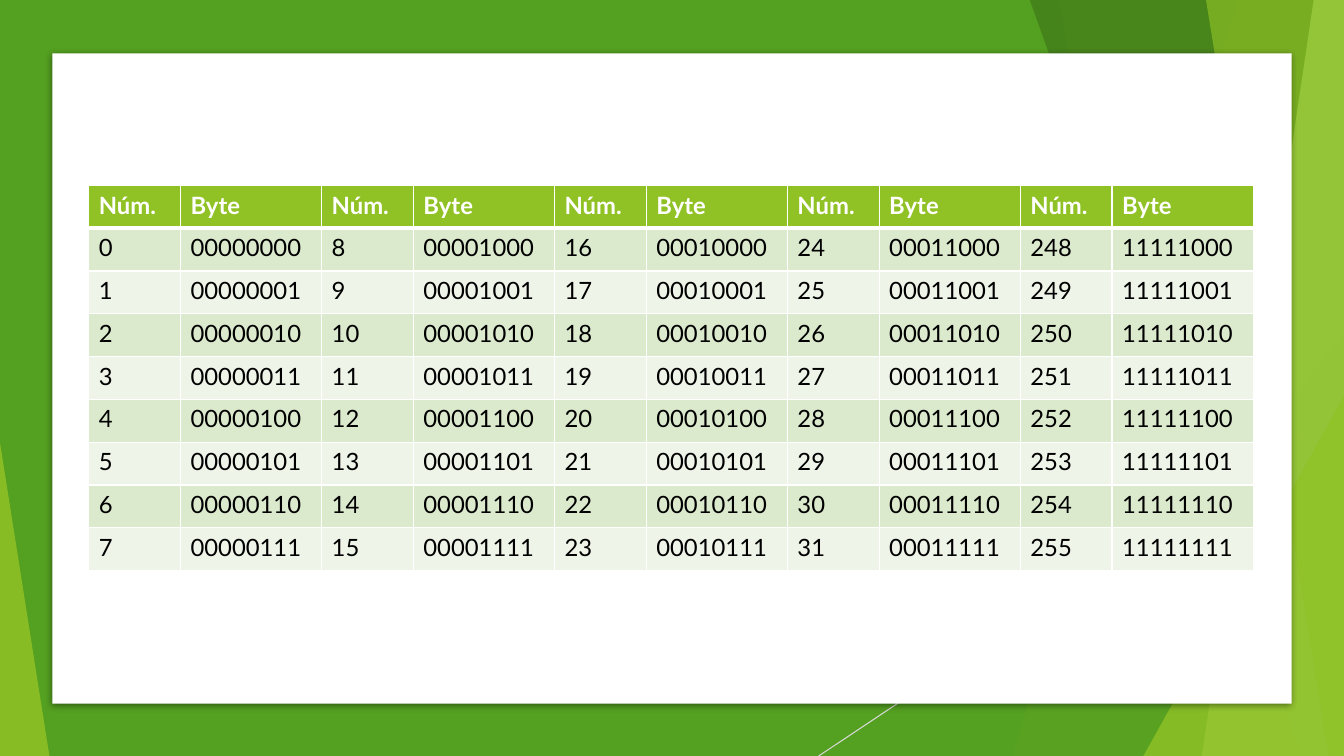
from dataclasses import dataclass

from lxml import etree
from pptx import Presentation
from pptx import util as u
from pptx.dml.color import RGBColor
from pptx.enum import shapes
from pptx.oxml import ns

PX = 9144  # EMU, 100 px to the inch
SLIDE_W, SLIDE_H = 1333, 750
FONT, FONT_SIZE = "Lato", 17

COLORS = {
    "background": "54A021",
    "lime": "90C226",
    "dark": "3F7819",
    "pale": "C0E474",
    "ray": "D9D9D9",
    "white": "FFFFFF",
    "black": "000000",
    "odd_row": "DBE9CD",
    "even_row": "EEF4E8",
}


@dataclass
class Box:
    left: int
    top: int
    width: int
    height: int

    def emu(self) -> list[int]:
        return [v * PX for v in (self.left, self.top, self.width, self.height)]


@dataclass
class Facet:
    """A full-height shard between a slanted left edge and the slide's right edge."""
    top_x: int
    bottom_x: int
    color: str
    alpha: int


@dataclass
class Wedge:
    """A triangle whose apex lies at a fraction of its width."""
    box: Box
    apex: int
    color: str
    alpha: int


DECOR = [
    Facet(1228, 1004, "lime", 30),
    Facet(1050, 1183, "lime", 20),
    Wedge(Box(977, 333, 356, 417), 1, "background", 72),
    Facet(1021, 1291, "dark", 70),
    Facet(1303, 1192, "pale", 70),
    Facet(1196, 1318, "lime", 65),
    Wedge(Box(1134, 393, 199, 357), 1, "lime", 80),
    Wedge(Box(0, 439, 49, 311), 0, "lime", 85),
]
CARD = Box(52, 53, 1229, 645)
TABLE = Box(88, 184, 1155, 382)
COLUMN_PAIR = (91, 140)
HEADERS = ("Núm.", "Byte")
BLOCK_STARTS = (0, 8, 16, 24, 248)
BLOCK_LEN = 8


def rgb(name: str) -> RGBColor:
    return RGBColor.from_string(COLORS[name])


def add_child(parent, tag: str, **attrs):
    return etree.SubElement(parent, ns.qn(tag), {k: str(v) for k, v in attrs.items()})


def paint(sp, color: str, alpha: int = 100) -> None:
    sp.shadow.inherit = False
    sp.line.fill.background()
    sp.fill.solid()
    sp.fill.fore_color.rgb = rgb(color)
    if alpha < 100:
        clr = sp.fill._xPr.find(".//" + ns.qn("a:srgbClr"))
        add_child(clr, "a:alpha", val=alpha * 1000)


def add_rect(s, box: Box, color: str):
    sp = s.shapes.add_shape(shapes.MSO_SHAPE.RECTANGLE, *box.emu())
    paint(sp, color)
    return sp


def add_ray(group) -> None:
    ends = [v * PX for v in (SLIDE_W, 403, 812, SLIDE_H)]
    line = group.shapes.add_connector(shapes.MSO_CONNECTOR.STRAIGHT, *ends)
    line.line.color.rgb = rgb("ray")
    line.line.width = u.Pt(0.75)
    add_child(line._element.spPr, "a:effectLst")


def add_facet(group, facet: Facet) -> None:
    outline = group.shapes.build_freeform(facet.top_x, -1, scale=PX)
    outline.add_line_segments(
        [(SLIDE_W, -1), (SLIDE_W, SLIDE_H), (facet.bottom_x, SLIDE_H)], close=True)
    paint(outline.convert_to_shape(), facet.color, facet.alpha)


def add_wedge(group, wedge: Wedge) -> None:
    sp = group.shapes.add_shape(shapes.MSO_SHAPE.ISOSCELES_TRIANGLE, *wedge.box.emu())
    sp.adjustments[0] = wedge.apex
    paint(sp, wedge.color, wedge.alpha)


def add_card(s) -> None:
    sp = add_rect(s, CARD, "white")
    effects = sp._element.spPr.find(ns.qn("a:effectLst"))
    shadow = add_child(effects, "a:outerShdw", blurRad=u.Pt(5), dist=u.Pt(1.4),
                       dir=5400000, rotWithShape=0)
    clr = add_child(shadow, "a:srgbClr", val=COLORS["black"])
    add_child(clr, "a:alpha", val=43000)


def set_borders(cell, top: int, bottom: int) -> None:
    tc_pr = cell._tc.get_or_add_tcPr()
    for side, width in {"L": 1, "R": 1, "T": top, "B": bottom}.items():
        ln = add_child(tc_pr, f"a:ln{side}", w=u.Pt(width))
        add_child(add_child(ln, "a:solidFill"), "a:srgbClr", val=COLORS["white"])


def style_cell(cell, row: int) -> None:
    is_header = row == 0
    set_borders(cell, top=3 if row == 1 else 1, bottom=3 if is_header else 1)
    cell.fill.solid()
    cell.fill.fore_color.rgb = rgb(
        "lime" if is_header else "odd_row" if row % 2 else "even_row")
    font = cell.text_frame.paragraphs[0].runs[0].font
    font.name, font.size, font.bold = FONT, u.Pt(FONT_SIZE), is_header
    font.color.rgb = rgb("white" if is_header else "black")


def add_byte_table(s) -> None:
    rows = [HEADERS * len(BLOCK_STARTS)]
    for i in range(BLOCK_LEN):
        numbers = [start + i for start in BLOCK_STARTS]
        rows.append([t for n in numbers for t in (str(n), f"{n:08b}")])
    table = s.shapes.add_table(len(rows), len(rows[0]), *TABLE.emu()).table
    table.horz_banding = False
    for c, column in enumerate(table.columns):
        column.width = COLUMN_PAIR[c % 2] * PX
    for r, texts in enumerate(rows):
        for c, value in enumerate(texts):
            cell = table.cell(r, c)
            cell.text_frame.text = value
            style_cell(cell, r)


def main() -> None:
    prs = Presentation()
    prs.slide_width, prs.slide_height = SLIDE_W * PX, SLIDE_H * PX
    s = prs.slides.add_slide(prs.slide_layouts[6])
    add_rect(s, Box(0, 0, SLIDE_W, SLIDE_H), "background")
    group = s.shapes.add_group_shape()
    add_ray(group)
    for item in DECOR:
        if isinstance(item, Facet):
            add_facet(group, item)
        else:
            add_wedge(group, item)
    add_card(s)
    add_byte_table(s)
    prs.save("out.pptx")


if __name__ == "__main__":
    main()
